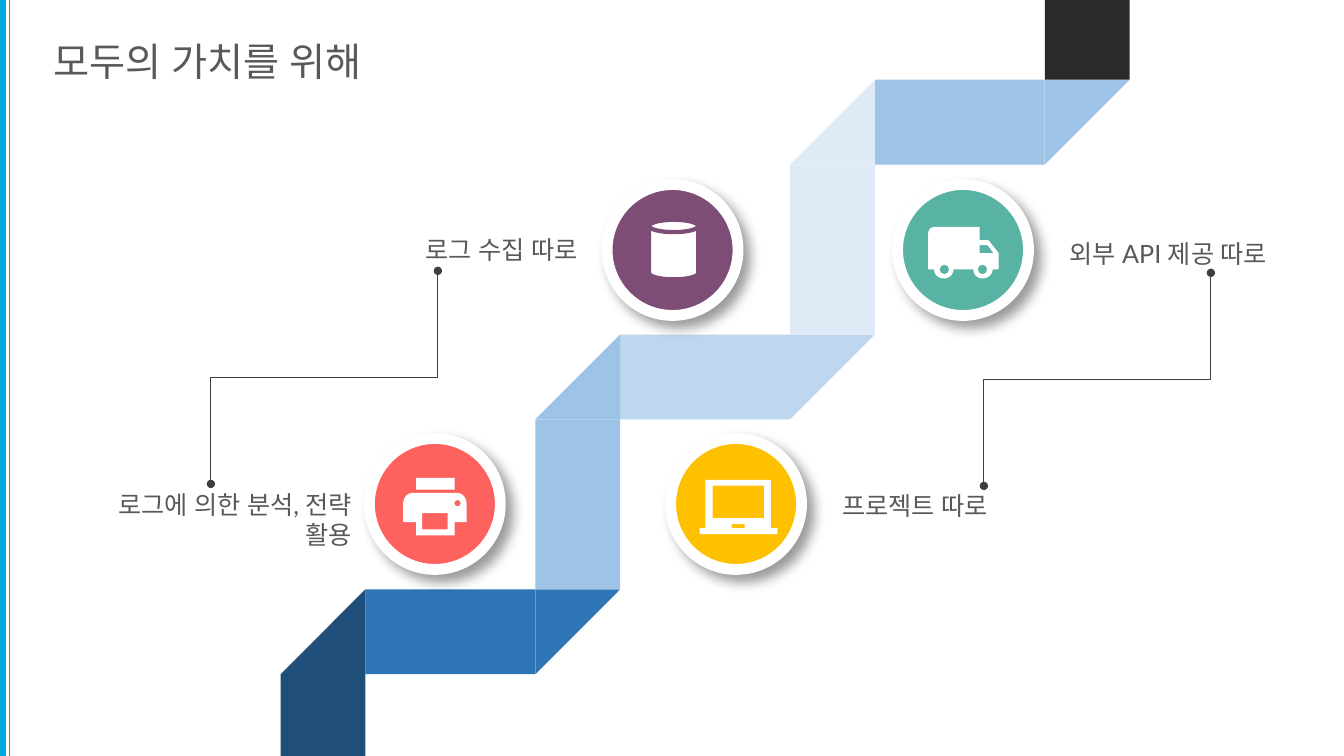
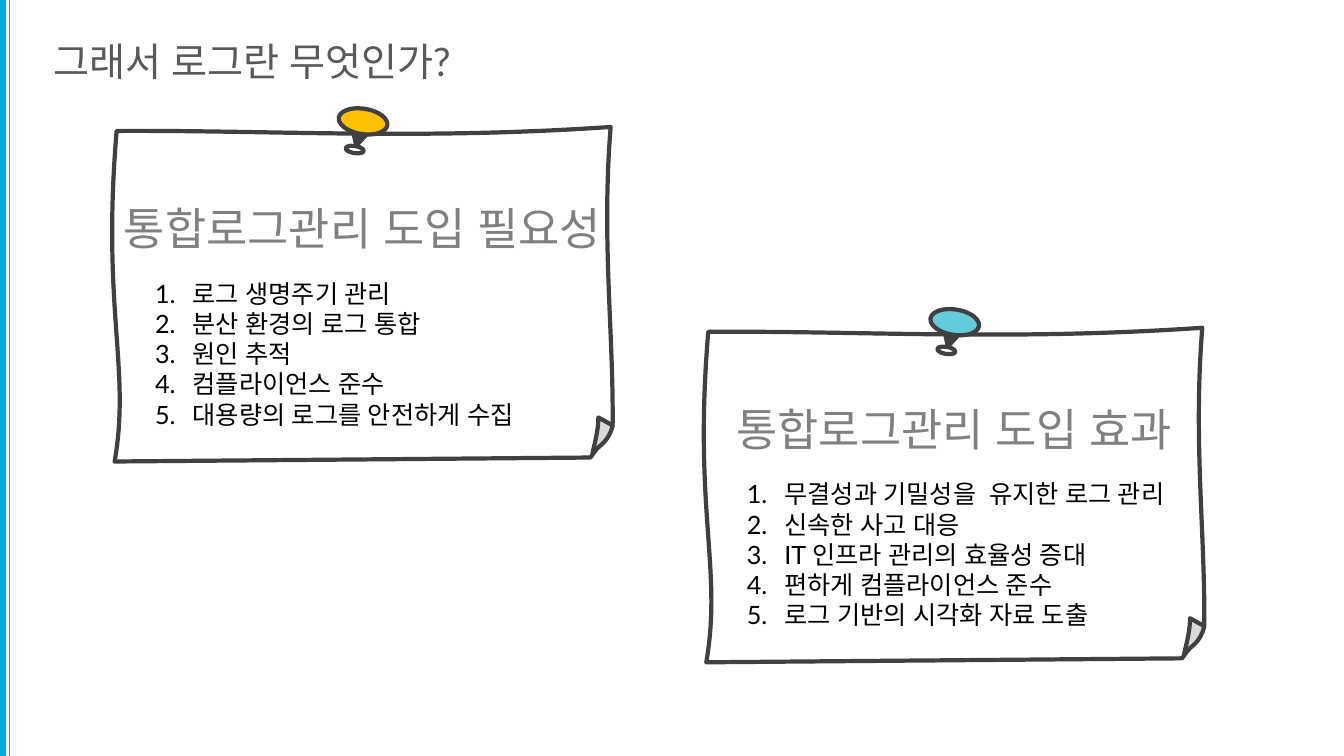
"""Builds two slides on integrated log management: a ribbon of values and two pinned notes."""
from lxml import etree
from pptx import Presentation
from pptx.dml.color import RGBColor
from pptx.enum import shapes, text
from pptx.oxml import ns
from pptx.util import Cm, Pt

SHAPE = shapes.MSO_SHAPE
LINK = shapes.MSO_CONNECTOR
ALIGN = text.PP_ALIGN
FONT = "Lato"

CYAN = RGBColor(0x00, 0xAB, 0xE1)
WHITE = RGBColor(0xFF, 0xFF, 0xFF)
BLACK = RGBColor(0x00, 0x00, 0x00)
COAL = RGBColor(0x2A, 0x2A, 0x2A)
LINK_GRAY = RGBColor(0x3E, 0x3E, 0x3E)
INK = RGBColor(0x40, 0x40, 0x40)
TEXT_GRAY = RGBColor(0x59, 0x59, 0x59)
HEAD_GRAY = RGBColor(0x80, 0x80, 0x80)
FOLD_GRAY = RGBColor(0xD9, 0xD9, 0xD9)
NAVY = RGBColor(0x1F, 0x4E, 0x79)
BLUE = RGBColor(0x2E, 0x75, 0xB6)
SKY = RGBColor(0x9D, 0xC3, 0xE6)
PALE = RGBColor(0xBD, 0xD7, 0xEE)
ICE = RGBColor(0xDE, 0xEB, 0xF7)
CORAL = RGBColor(0xFD, 0x62, 0x5E)
AMBER = RGBColor(0xFF, 0xC0, 0x00)
PLUM = RGBColor(0x7E, 0x4D, 0x76)
TEAL = RGBColor(0x59, 0xB3, 0xA4)
AQUA = RGBColor(0x64, 0xCB, 0xDA)

WIDTH, HEIGHT = 33.87, 19.05
EDGE_LINES = [(0.23, 0.5), (0.05, 6)]
TITLES = ["모두의 가치를 위해", "그래서 로그란 무엇인가?"]

UNIT, RIBBON_X, RIBBON_Y = 2.14, 7.07, 2.01
TREADS = [(1, 6, BLUE), (4, 3, PALE), (7, 0, SKY)]
RISERS = [(0, 6, NAVY), (3, 3, SKY), (6, 0, ICE)]
DISC_SIZE = 3.3
DISCS = [(9.31, 11.05, CORAL), (16.9, 11.05, AMBER), (15.3, 4.65, PLUM), (22.62, 4.65, TEAL)]
LABELS = [
    ("로그에 의한 분석, 전략 활용", 1.52, 12.2, ALIGN.RIGHT),
    ("프로젝트 따로", 20.98, 12.24, ALIGN.LEFT),
    ("외부 API 제공 따로", 26.7, 5.87, ALIGN.LEFT),
    ("로그 수집 따로", 7.21, 5.79, ALIGN.RIGHT),
]
LABEL_WIDTH = 7.6
LINKS = [(5.49, 6.65), (24.97, 6.7)]
LINK_SIZE = (5.37, 5.72)


def box(left, top, right, bottom):
    return [(left, top), (right, top), (right, bottom), (left, bottom)]


def ring(cx, cy, r):
    k = 0.55 * r
    return [
        (cx, cy + r),
        (cx - k, cy + r, cx - r, cy + k, cx - r, cy),
        (cx - r, cy - k, cx - k, cy - r, cx, cy - r),
        (cx + k, cy - r, cx + r, cy - k, cx + r, cy),
        (cx + r, cy + k, cx + k, cy + r, cx, cy + r),
    ]


PRINTER = [
    [(1.37, 0.38), (0.23, 0.38), (0.1, 0.38, 0, 0.51, 0, 0.64), (0, 1.12), (0.33, 1.12),
     (0.33, 1.45), (1.3, 1.45), (1.3, 1.12), (1.6, 1.12), (1.6, 0.64),
     (1.6, 0.51, 1.5, 0.38, 1.37, 0.38)],
    box(0.48, 0.89, 1.12, 1.3), ring(1.37, 0.64, 0.08), box(0.33, 0, 1.3, 0.3),
]
LAPTOP = [
    [(1.8, 1.22), (1.8, 0), (0.15, 0), (0.15, 1.22), (0, 1.22), (0, 1.37), (1.96, 1.37),
     (1.96, 1.22)],
    box(0.81, 1.12, 1.14, 1.22), box(0.33, 0.15, 1.63, 0.97),
]
TRUCK = [
    [(1.52, 0.33), (1.3, 0.33), (1.3, 0), (0.15, 0), (0.05, 0, 0, 0.08, 0, 0.18), (0, 1.07),
     (0.15, 1.07), (0.15, 1.2, 0.25, 1.3, 0.41, 1.3), (0.53, 1.3, 0.64, 1.2, 0.64, 1.07),
     (1.14, 1.07), (1.14, 1.2, 1.24, 1.3, 1.37, 1.3), (1.5, 1.3, 1.63, 1.2, 1.63, 1.07),
     (1.78, 1.07), (1.78, 0.66)],
    ring(0.41, 1.07, 0.12), ring(1.37, 1.07, 0.12),
    [(1.5, 0.46), (1.65, 0.66), (1.3, 0.66), (1.3, 0.46)],
]
ICONS = [(PRINTER, 10.16, 12.04), (LAPTOP, 17.63, 12.09), (TRUCK, 23.39, 5.72)]
CAN = (16.36, 5.54, 1.24, 1.5)

PAPER = [[
    (12.55, 0), (12.32, 2.82, 12.62, 5.13, 12.6, 7.49), (12.6, 7.59, 12.5, 7.67, 12.5, 7.77),
    (12.32, 7.98), (12.24, 8.05), (12.04, 8.33), (0.05, 8.43),
    (0.46, 6.07, -0.28, 4.62, 0.1, 0.1), (4.11, 0.08, 7.72, 0.33, 12.55, 0),
]]
FOLD = [[
    (0.51, 0.2), (0.15, 0), (0.15, 0.27, 0.1, 0.48, 0, 0.91),
    (0.18, 0.68, 0.41, 0.63, 0.51, 0.2),
]]
FOLD_X, FOLD_Y = 12.09, 7.32
NOTES = [
    (2.84, 3.2, AMBER, "통합로그관리 도입 필요성",
     ["로그 생명주기 관리", "분산 환경의 로그 통합", "원인 추적", "컴플라이언스 준수",
      "대용량의 로그를 안전하게 수집"]),
    (17.75, 8.26, AQUA, "통합로그관리 도입 효과",
     ["무결성과 기밀성을  유지한 로그 관리", "신속한 사고 대응", "IT 인프라 관리의 효율성 증대",
      "편하게 컴플라이언스 준수", "로그 기반의 시각화 자료 도출"]),
]
LIST_INDENT = 0.95


def add_xml(parent, tag, **attrs):
    return etree.SubElement(parent, ns.qn(tag), attrs)


def paint(sp, fill, line=None, weight=3):
    sp.shadow.inherit = False
    sp.fill.solid()
    sp.fill.fore_color.rgb = fill
    if line is None:
        sp.line.fill.background()
        return sp
    sp.line.color.rgb = line
    sp.line.width = Pt(weight)
    add_xml(sp.line._get_or_add_ln(), "a:round")
    return sp


def preset(s, kind, at, fill, line=None, weight=3, rotation=0):
    sp = s.shapes.add_shape(kind, *map(Cm, at))
    sp.rotation = rotation
    return paint(sp, fill, line, weight)


def outline(s, contours, left, top, fill, line=None):
    anchors = [part[-2:] for contour in contours for part in contour]
    width, height = (Cm(max(axis)) for axis in zip(*anchors))
    pen = s.shapes.build_freeform(0, 0)
    pen.add_line_segments([(width, 0), (width, height), (0, height)])
    sp = pen.convert_to_shape(Cm(left), Cm(top))
    track = next(sp._element.iter(ns.qn("a:path")))
    for step in list(track):
        track.remove(step)
    for contour in contours:
        for i, part in enumerate(contour):
            tag = "a:moveTo" if i == 0 else "a:lnTo" if len(part) == 2 else "a:cubicBezTo"
            step = add_xml(track, tag)
            for x, y in zip(part[::2], part[1::2]):
                add_xml(step, "a:pt", x=str(Cm(x)), y=str(Cm(y)))
        add_xml(track, "a:close")
    return paint(sp, fill, line)


def connect(s, kind, start, end, color, weight):
    cn = s.shapes.add_connector(kind, *map(Cm, start + end))
    cn.line.color.rgb = color
    cn.line.width = Pt(weight)
    add_xml(cn._element.spPr, "a:effectLst")
    return cn


def add_run(p, words, size, color, align):
    p.alignment = align
    r = p.add_run()
    r.text = words
    for key, value in {"name": FONT, "size": Pt(size)}.items():
        setattr(r.font, key, value)
    r.font.color.rgb = color
    add_xml(r._r.get_or_add_rPr(), "a:ea", typeface=FONT)


def write(s, lines, at, size, color, align=ALIGN.LEFT, side=0.25, numbered=False):
    tf = s.shapes.add_textbox(*map(Cm, at)).text_frame
    frame = {"word_wrap": True, "auto_size": text.MSO_AUTO_SIZE.SHAPE_TO_FIT_TEXT,
             "margin_left": Cm(side), "margin_right": Cm(side)}
    for key, value in frame.items():
        setattr(tf, key, value)
    for i, line in enumerate(lines):
        p = tf.add_paragraph() if i else tf.paragraphs[0]
        if numbered:
            pPr = p._p.get_or_add_pPr()
            pPr.set("marL", str(Cm(LIST_INDENT)))
            pPr.set("indent", str(-Cm(LIST_INDENT)))
            add_xml(pPr, "a:buAutoNum", type="arabicPeriod")
        add_run(p, line, size, color, align)


def new_slide(prs, title):
    s = prs.slides.add_slide(prs.slide_layouts[6])
    for x, weight in EDGE_LINES:
        connect(s, LINK.STRAIGHT, (x, HEIGHT), (x, 0), CYAN, weight)
    write(s, [title], (1.22, 0.81, 13.82, 1.45), 28, TEXT_GRAY, side=0.13)
    return s


def ribbon(s):
    def piece(kind, col, row, cols, rows, color, rotation=0):
        top = RIBBON_Y + row * UNIT
        height = min(rows * UNIT, HEIGHT - top)
        at = (RIBBON_X + col * UNIT, top, cols * UNIT, height)
        preset(s, kind, at, color, rotation=rotation)

    for col, row, color in TREADS:
        piece(SHAPE.RECTANGLE, col, row, 2, 1, color)
        piece(SHAPE.RIGHT_TRIANGLE, col + 2, row, 1, 1, color, 90)
    preset(s, SHAPE.RECTANGLE, (RIBBON_X + 9 * UNIT, 0, UNIT, RIBBON_Y), COAL)
    for col, row, color in RISERS:
        piece(SHAPE.RIGHT_TRIANGLE, col, row, 1, 1, color, 270)
        piece(SHAPE.RECTANGLE, col, row + 1, 1, 2, color)


def disc(s, left, top, color):
    sp = preset(s, SHAPE.OVAL, (left, top, DISC_SIZE, DISC_SIZE), color, WHITE, 7.75)
    effects = sp._element.spPr.find(ns.qn("a:effectLst"))
    shadow = add_xml(effects, "a:outerShdw", blurRad=str(Pt(9)), dist=str(Pt(7)),
                     dir="2700000", algn="tl", rotWithShape="0")
    add_xml(add_xml(shadow, "a:srgbClr", val=str(BLACK)), "a:alpha", val="40000")


def elbow(s, left, top):
    end = (left + LINK_SIZE[0], top + LINK_SIZE[1])
    cn = connect(s, LINK.ELBOW, (left, top), end, LINK_GRAY, 0.75)
    cn._element.spPr.xfrm.set("rot", "5400000")
    for tag in ("a:headEnd", "a:tailEnd"):
        add_xml(cn.line._get_or_add_ln(), tag, type="oval")


def note(s, left, top, pin, heading, items):
    tf = outline(s, PAPER, left, top, WHITE, INK).text_frame
    frame = {"word_wrap": True, "vertical_anchor": text.MSO_ANCHOR.MIDDLE,
             "margin_left": 0, "margin_right": 0, "margin_bottom": Cm(3.48)}
    for key, value in frame.items():
        setattr(tf, key, value)
    add_run(tf.paragraphs[0], heading, 32, HEAD_GRAY, ALIGN.CENTER)
    outline(s, FOLD, left + FOLD_X, top + FOLD_Y, FOLD_GRAY, INK)
    pin_parts = [
        (SHAPE.OVAL, 5.87, 0.48, 0.46, 0.18, WHITE, 9),
        (SHAPE.ISOSCELES_TRIANGLE, 5.92, -0.08, 0.58, 0.56, INK, 195.1),
        (SHAPE.OVAL, 5.69, -0.46, 1.24, 0.64, pin, 9),
    ]
    for kind, x, y, w, h, fill, rotation in pin_parts:
        preset(s, kind, (left + x, top + y, w, h), fill, INK, rotation=rotation)
    write(s, items, (left + 0.94, top + 3.68, 10.8, 4.11), 18, BLACK, side=0.13, numbered=True)


def main():
    prs = Presentation()
    prs.slide_width, prs.slide_height = Cm(WIDTH), Cm(HEIGHT)
    values, logs = [new_slide(prs, title) for title in TITLES]

    ribbon(values)
    for item in DISCS:
        disc(values, *item)
    for label, left, top, align in LABELS:
        at = (left, top, min(LABEL_WIDTH, WIDTH - left), 1.02)
        write(values, [label], at, 18, TEXT_GRAY, align)
    for corner in LINKS:
        elbow(values, *corner)
    for contours, left, top in ICONS:
        outline(values, contours, left, top, WHITE)
    preset(values, SHAPE.CAN, CAN, WHITE, PLUM)

    for item in NOTES:
        note(logs, *item)
    prs.save("out.pptx")


if __name__ == "__main__":
    main()
